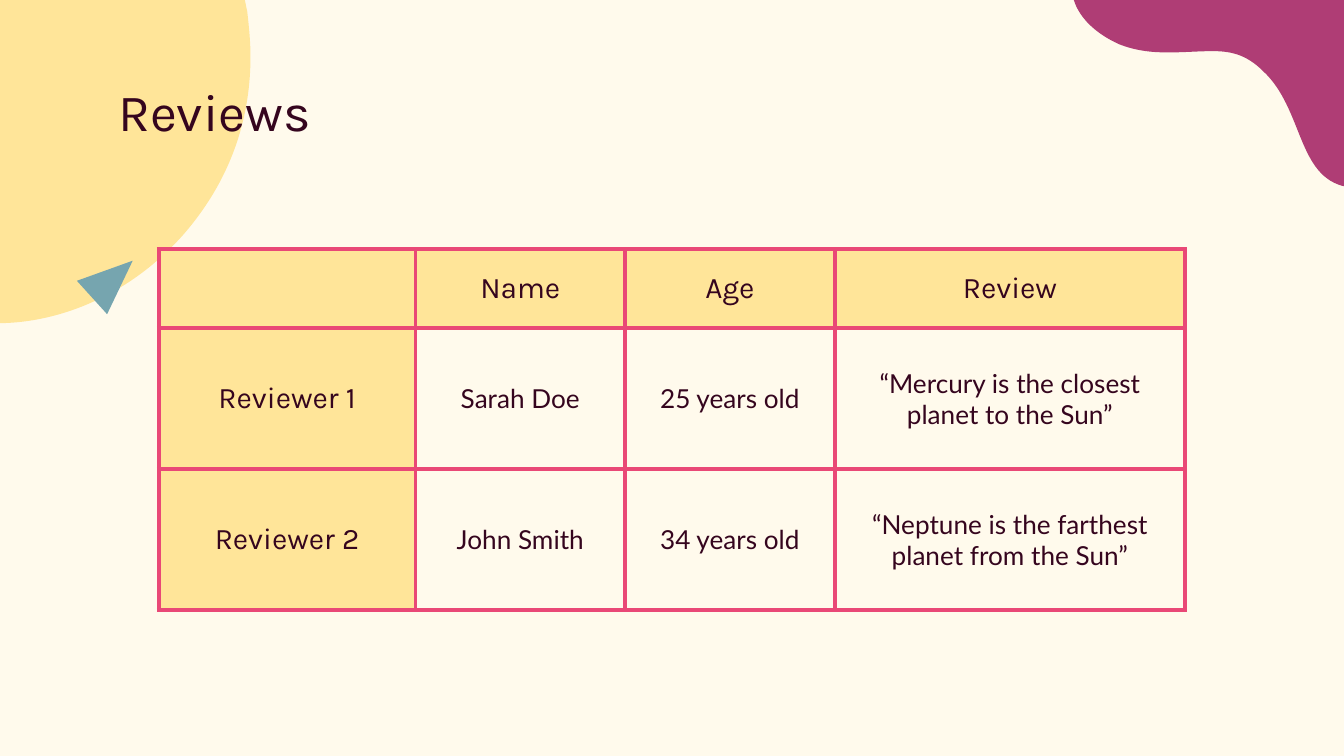
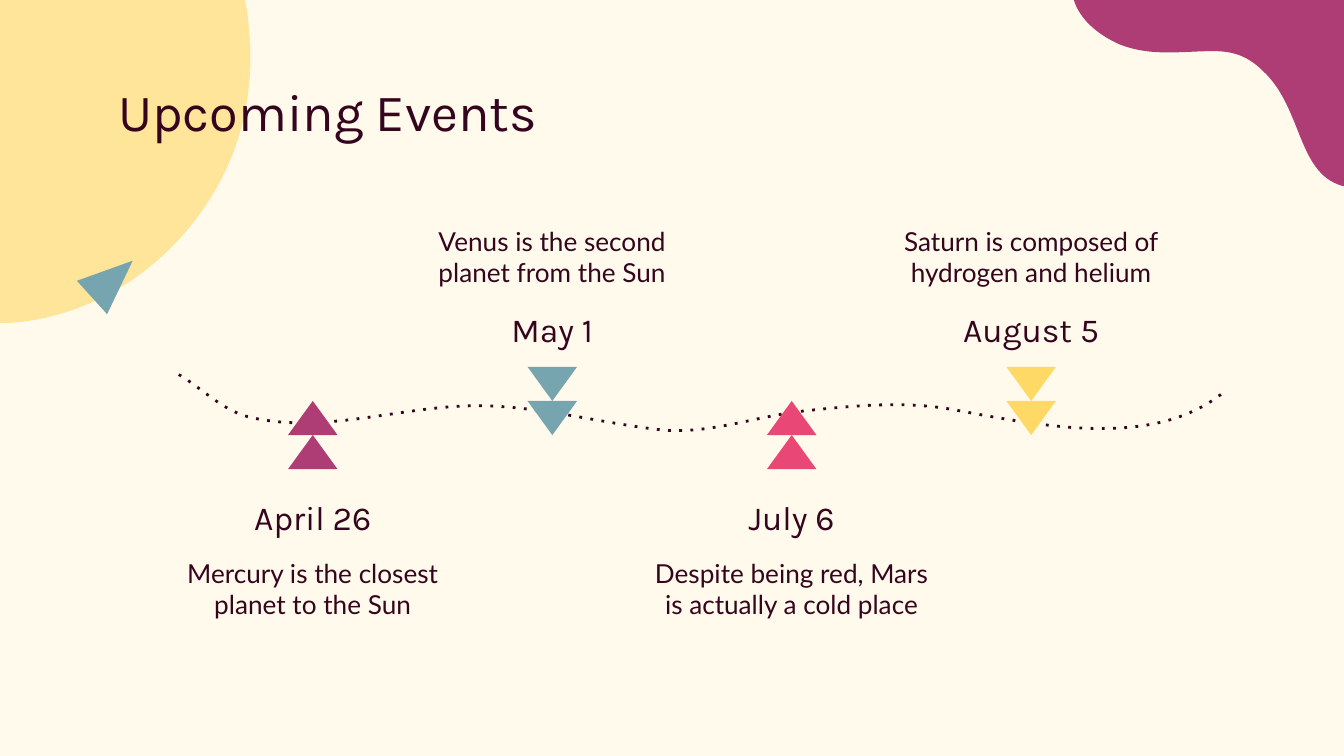
from lxml.etree import SubElement
from pptx import Presentation
from pptx.dml.color import RGBColor
from pptx.enum.shapes import MSO_SHAPE
from pptx.enum.text import MSO_ANCHOR, PP_ALIGN
from pptx.oxml.ns import qn
from pptx.util import Pt

COLORS = {
    "background": "FFFAEC",
    "text": "35051E",
    "sand": "FFE599",
    "plum": "AF3D75",
    "teal": "76A5AF",
    "pink": "E94876",
    "gold": "FFD966",
}
HEADING_FONT, BODY_FONT = "Karla", "Lato"

REVIEWS = [
    ["", "Name", "Age", "Review"],
    ["Reviewer 1", "Sarah Doe", "25 years old", "“Mercury is the closest planet to the Sun”"],
    ["Reviewer 2", "John Smith", "34 years old", "“Neptune is the farthest planet from the Sun”"],
]
TABLE_LEFT, TABLE_TOP = 85, 133.4
COLUMN_WIDTHS = [137.6, 112.3, 112.3, 187.8]
ROW_HEIGHTS = [42.5, 75.5, 75.5]

EVENTS = [
    ("April 26", "Mercury is the closest planet to the Sun", "plum"),
    ("May 1", "Venus is the second planet from the Sun", "teal"),
    ("July 6", "Despite being red, Mars is actually a cold place", "pink"),
    ("August 5", "Saturn is composed of hydrogen and helium", "gold"),
]
FIRST_EVENT_X, EVENT_STEP = 167.6, 128.27
MARKER_WIDTH, MARKER_HEIGHT, MARKER_MIDDLE = 26.6, 18.3, 214.8
DATE_WIDTH, DATE_HEIGHT, DETAIL_WIDTH = 146.2, 35.3, 163.4

# Outlines: a start point, then lines (x, y) or curves (two control points, end).
SUN = [
    (134.2, 30.2), (134.2, 22.5, 133.4, 14.5, 132.5, 6.5),
    (131.8, 2.9, 131, -0.7, 130.3, -4.3), (-10, -4.3), (-10, 172.8),
    (24.5, 175.7, 67, 161.3, 98.6, 125.3), (126, 93.6, 134.2, 59.8, 134.2, 30.2),
]
CORNER_BLOB = [
    (721.4, 100.1), (694.8, 95, 698.4, 58.3, 676.8, 38.2),
    (667.4, 28.8, 658.8, 27.4, 649.4, 27.4), (642.2, 27.4, 634.3, 28.1, 625.7, 28.1),
    (617.8, 28.1, 609.1, 27.4, 599.8, 23.8), (586.8, 18, 578.2, 9.4, 575.3, 0),
    (721.4, 0),
]
SMALL_TRIANGLE = [(71.1, 139.7), (41.2, 150.5), (57.4, 168.4)]
TIMELINE = [
    (95.8, 200.7), (109.4, 208.8, 120.2, 221, 135.4, 223.9),
    (175, 232.6, 215.3, 217.4, 255.6, 217.4), (288.7, 217.4, 321.8, 226.8, 355, 230.4),
    (380.2, 232.6, 404.6, 223.2, 429.8, 220.3), (457.2, 217.4, 484.6, 214.6, 511.2, 219.6),
    (558, 228.2, 617, 240.5, 654.5, 211),
]


def color(name):
    return RGBColor.from_string(COLORS[name])


def fill_shape(shape, name):
    shape.shadow.inherit = False
    shape.fill.solid()
    shape.fill.fore_color.rgb = color(name)
    shape.line.fill.background()


def add_outline(slide, outline, close=True):
    """Draw an outline as straight lines, then bend those that have control points."""
    ends = [(Pt(segment[-2]), Pt(segment[-1])) for segment in outline]
    builder = slide.shapes.build_freeform(*ends[0])
    builder.add_line_segments(ends[1:], close=close)
    shape = builder.convert_to_shape()
    lines = list(shape.element.spPr.iter(qn("a:lnTo")))
    for line, segment in zip(lines, outline[1:]):
        if len(segment) == 6:
            line.tag = qn("a:cubicBezTo")
            for index in range(2):
                x, y = segment[2 * index:2 * index + 2]
                point = SubElement(line, qn("a:pt"), x=str(Pt(x) - shape.left),
                                   y=str(Pt(y) - shape.top))
                line.insert(index, point)
    return shape


def write(text_frame, text, font, size, align):
    text_frame.text = text
    for paragraph in text_frame.paragraphs:
        paragraph.alignment = align
        for run in paragraph.runs:
            run.font.name = font
            run.font.size = Pt(size)
            run.font.color.rgb = color("text")


def add_text(slide, box, text, font, size, align=PP_ALIGN.CENTER, anchor=MSO_ANCHOR.TOP):
    text_frame = slide.shapes.add_textbox(*map(Pt, box)).text_frame
    text_frame.word_wrap = True
    text_frame.vertical_anchor = anchor
    text_frame.margin_left = text_frame.margin_right = Pt(7.2)
    text_frame.margin_top = text_frame.margin_bottom = Pt(7.2)
    write(text_frame, text, font, size, align)


def add_slide(presentation, title):
    """Add a slide with the shared background, decoration and title."""
    slide = presentation.slides.add_slide(presentation.slide_layouts[6])
    slide.background.fill.solid()
    slide.background.fill.fore_color.rgb = color("background")
    for outline, name in ((SUN, "sand"), (CORNER_BLOB, "plum"), (SMALL_TRIANGLE, "teal")):
        fill_shape(add_outline(slide, outline), name)
    add_text(slide, (56.2, 35.3, 534.2, 45.4), title, HEADING_FONT, 28, PP_ALIGN.LEFT)
    return slide


def add_borders(cell, name, width):
    properties = cell._tc.get_or_add_tcPr()
    for side in ("a:lnL", "a:lnR", "a:lnT", "a:lnB"):
        line = SubElement(properties, qn(side), w=str(Pt(width)))
        SubElement(SubElement(line, qn("a:solidFill")), qn("a:srgbClr"), val=COLORS[name])


def add_review_table(slide):
    table = slide.shapes.add_table(
        len(REVIEWS), len(COLUMN_WIDTHS), Pt(TABLE_LEFT), Pt(TABLE_TOP),
        Pt(sum(COLUMN_WIDTHS)), Pt(sum(ROW_HEIGHTS)),
    ).table
    table.first_row = table.horz_banding = False
    for column, width in zip(table.columns, COLUMN_WIDTHS):
        column.width = Pt(width)
    for row, height in zip(table.rows, ROW_HEIGHTS):
        row.height = Pt(height)
    for row_index, texts in enumerate(REVIEWS):
        for column_index, text in enumerate(texts):
            cell = table.cell(row_index, column_index)
            is_header = row_index == 0 or column_index == 0
            font, size = (HEADING_FONT, 16) if is_header else (BODY_FONT, 14)
            write(cell.text_frame, text, font, size, PP_ALIGN.CENTER)
            cell.vertical_anchor = MSO_ANCHOR.MIDDLE
            cell.margin_left = cell.margin_right = Pt(7.2)
            cell.margin_top = cell.margin_bottom = Pt(7.2)
            add_borders(cell, "pink", 2.25)
            if is_header:
                cell.fill.solid()
                cell.fill.fore_color.rgb = color("sand")
            else:
                cell.fill.background()


def add_timeline(slide):
    shape = add_outline(slide, TIMELINE, close=False)
    shape.shadow.inherit = False
    shape.fill.background()
    shape.line.color.rgb = color("text")
    shape.line.width = Pt(1.5)
    SubElement(shape.element.spPr.find(qn("a:ln")), qn("a:prstDash"), val="dot")


def add_event(slide, center, date, detail, name, is_above):
    """Add two stacked markers, pointing away from the date and detail."""
    first_top = MARKER_MIDDLE - (MARKER_HEIGHT if is_above else 0)
    for index in range(2):
        marker = slide.shapes.add_shape(
            MSO_SHAPE.ISOSCELES_TRIANGLE, Pt(center - MARKER_WIDTH / 2),
            Pt(first_top + index * MARKER_HEIGHT), Pt(MARKER_WIDTH), Pt(MARKER_HEIGHT),
        )
        marker.rotation = 180 if is_above else 0
        fill_shape(marker, name)
    if is_above:
        date_top, detail_top, detail_height, anchor = 159.1, 113.3, 51.8, MSO_ANCHOR.BOTTOM
    else:
        date_top, detail_top, detail_height, anchor = 259.2, 291.2, 61.9, MSO_ANCHOR.TOP
    add_text(slide, (center - DATE_WIDTH / 2, date_top, DATE_WIDTH, DATE_HEIGHT),
             date, HEADING_FONT, 18, anchor=anchor)
    add_text(slide, (center - DETAIL_WIDTH / 2, detail_top, DETAIL_WIDTH, detail_height),
             detail, BODY_FONT, 14)


def main():
    presentation = Presentation()
    presentation.slide_width, presentation.slide_height = Pt(720), Pt(405)

    add_review_table(add_slide(presentation, "Reviews"))

    events_slide = add_slide(presentation, "Upcoming Events")
    add_timeline(events_slide)
    for index, (date, detail, name) in enumerate(EVENTS):
        center = FIRST_EVENT_X + index * EVENT_STEP
        add_event(events_slide, center, date, detail, name, is_above=index % 2 == 1)

    presentation.save("out.pptx")


if __name__ == "__main__":
    main()
